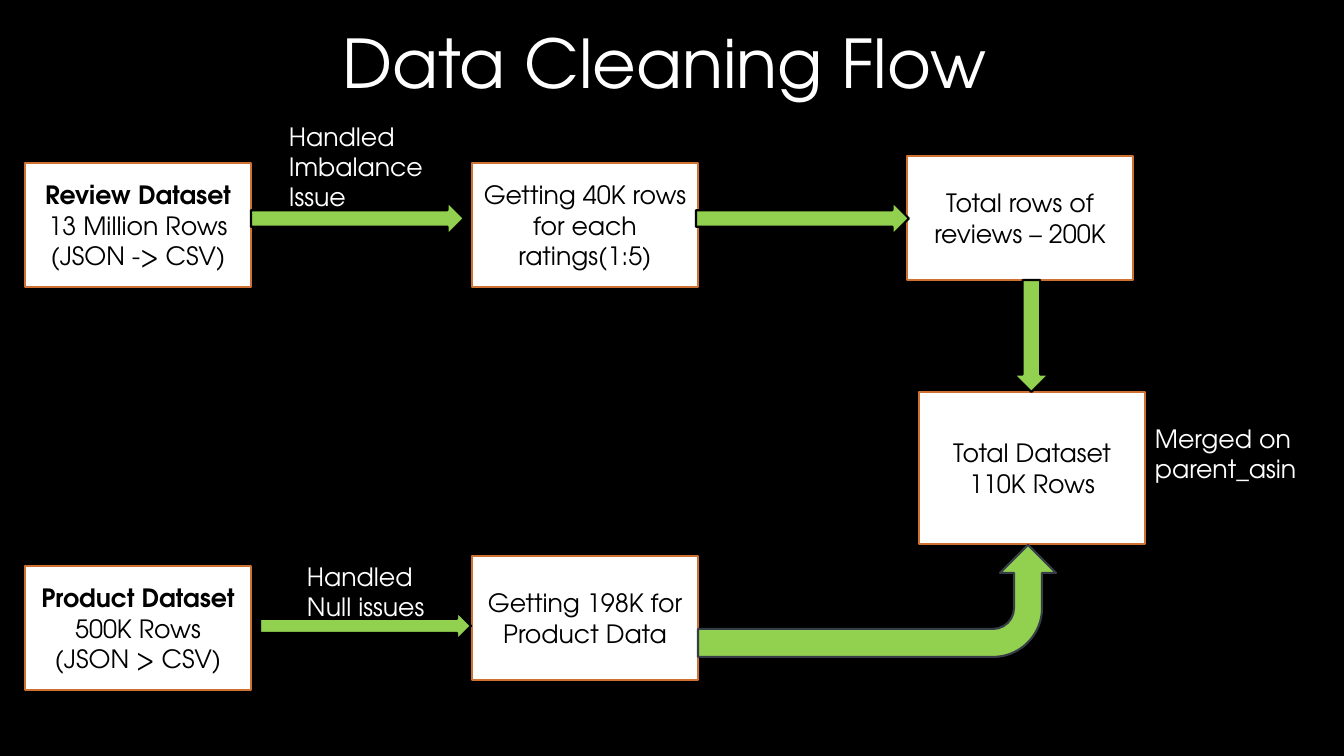
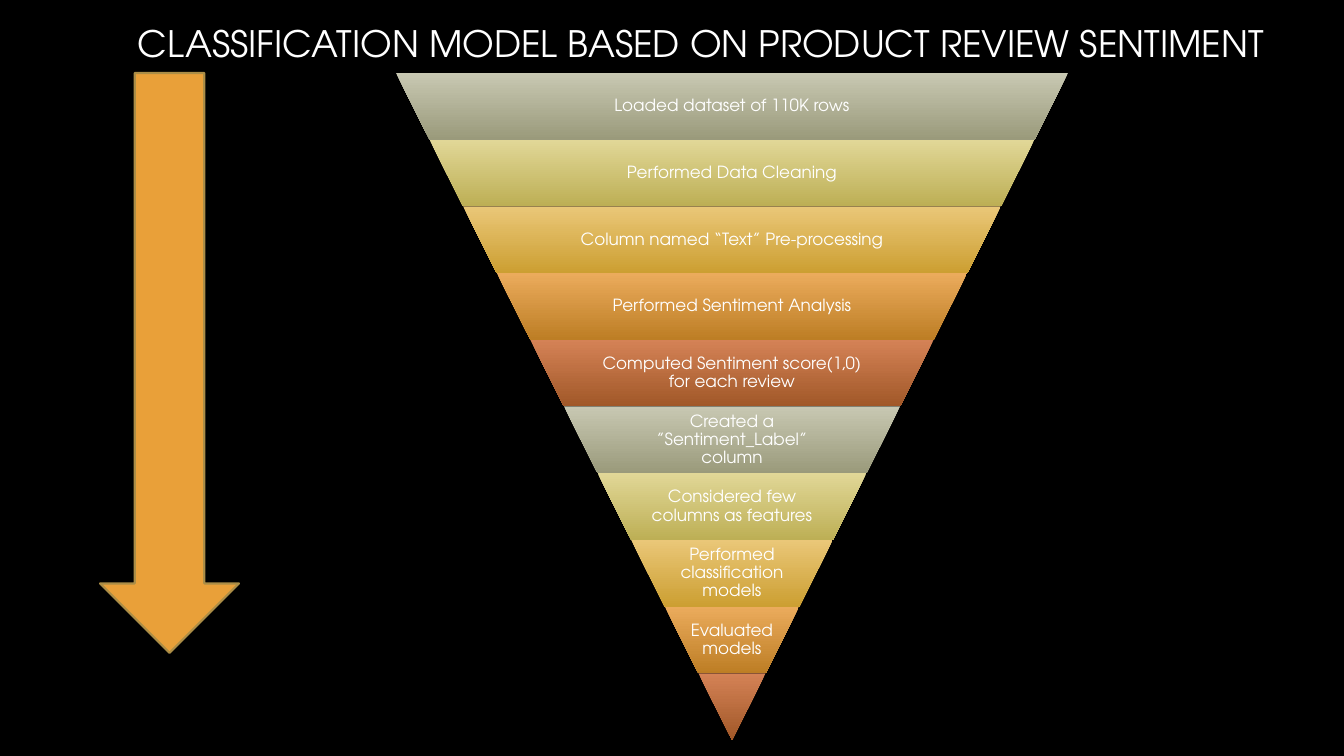
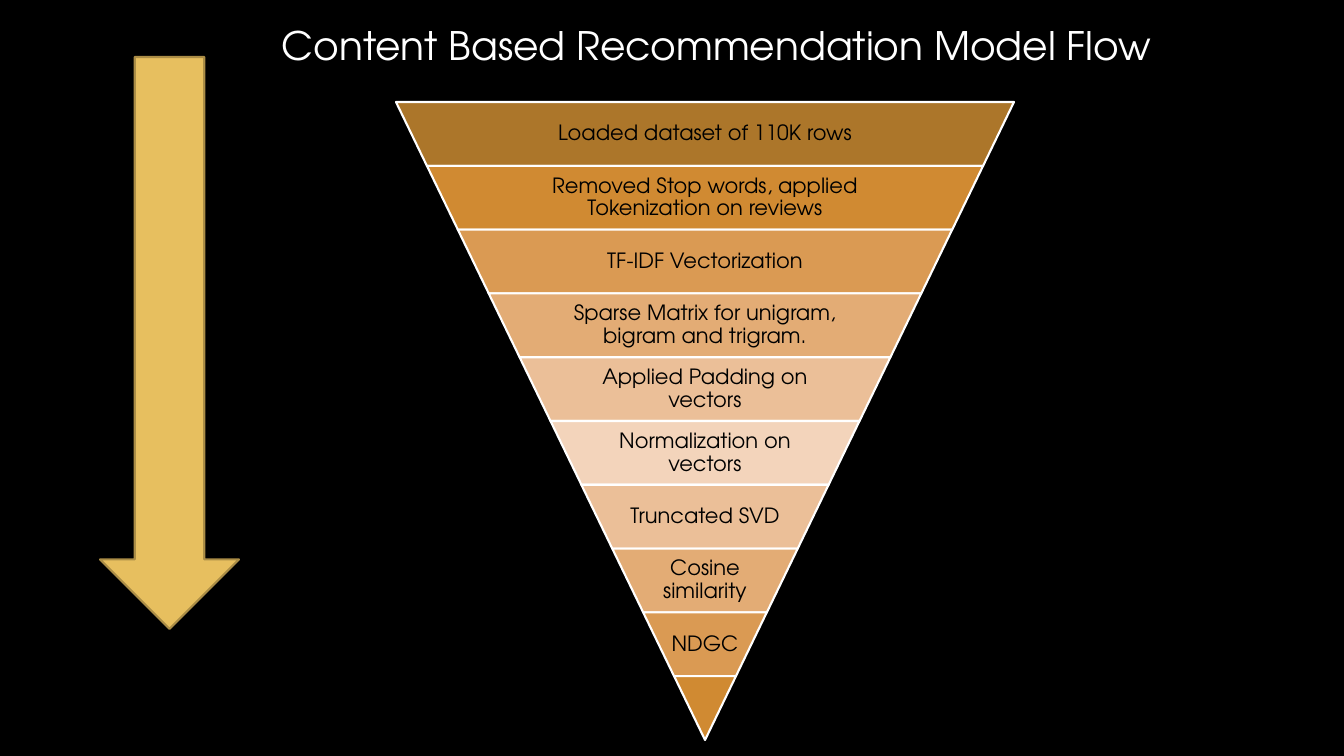
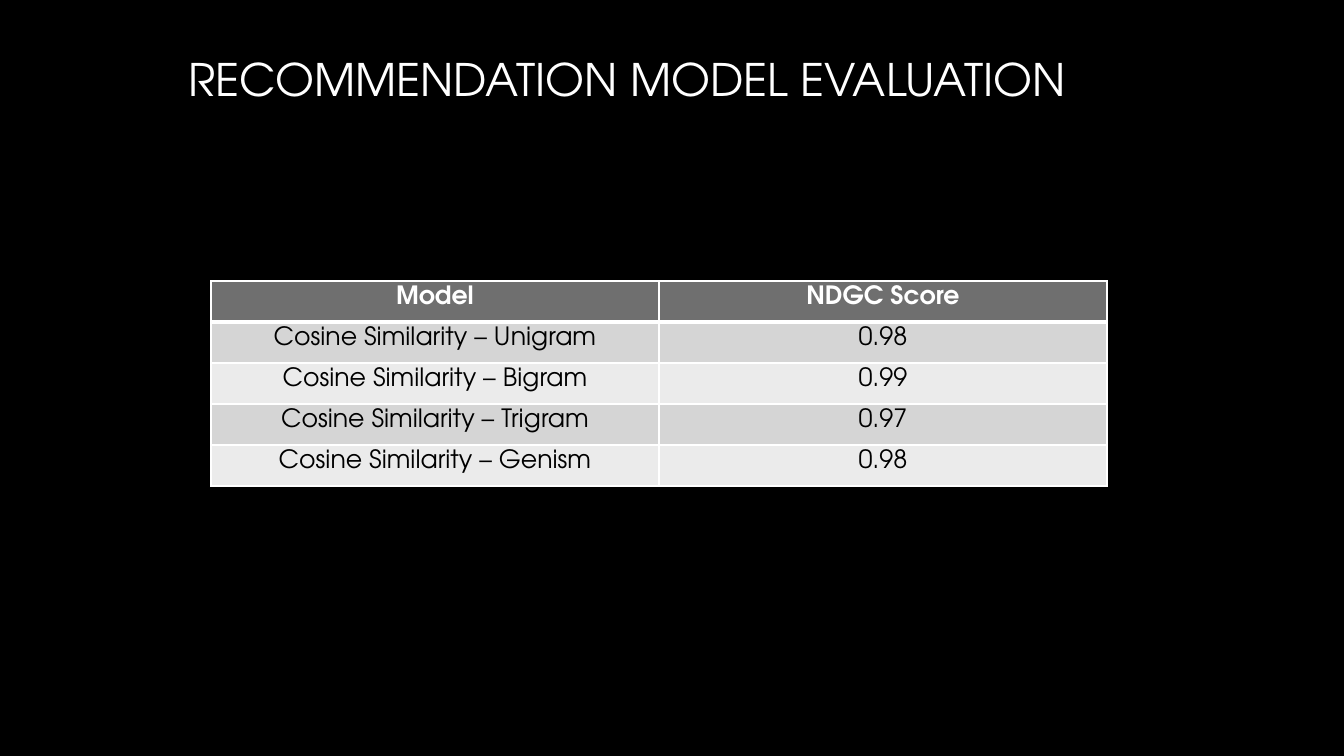
import pptx
import pptx.dml.color
import pptx.enum.shapes
import pptx.enum.text
import pptx.oxml
import pptx.oxml.ns
import pptx.util

SHAPE = pptx.enum.shapes.MSO_SHAPE
ALIGN = pptx.enum.text.PP_ALIGN
ANCHOR = pptx.enum.text.MSO_ANCHOR

# Shared look
PX = 914400 / 100.8
FONT = "TeX Gyre Adventor"
BLACK, WHITE = "000000", "FFFFFF"
BOX_LINE, GREEN, BEND_LINE, ARROW_LINE = "CF7133", "92D050", "363D46", "AB8D46"
HEADER_FILL, BAND_FILLS = "6F6F6F", ("D5D5D5", "EBEBEB")

# Data cleaning flow: place, lines, first line bold
FLOW_TITLE = ("Data Cleaning Flow", (288, 16, 753, 92), 48)
FLOW_BOXES = [
    ((25, 163, 226, 124), ["Review Dataset", "13 Million Rows", "(JSON -> CSV)"], True),
    ((472, 163, 226, 124), ["Getting 40K rows for each ratings(1:5)"], False),
    ((907, 156, 226, 124), ["Total rows of reviews – 200K"], False),
    ((25, 566, 226, 124), ["Product Dataset", "500K Rows", "(JSON > CSV)"], True),
    ((472, 556, 226, 124), ["Getting 198K for Product Data"], False),
    ((919, 392, 226, 152), ["Total Dataset", "110K Rows"], False),
]
FLOW_ARROWS = [
    (SHAPE.RIGHT_ARROW, (251, 202, 213, 33)),
    (SHAPE.RIGHT_ARROW, (696, 202, 213, 33)),
    (SHAPE.DOWN_ARROW, (1014, 280, 35, 112)),
    (SHAPE.RIGHT_ARROW, (260, 612, 211, 28)),
]
MERGE_ARROW = (821, 422, 112, 358)
FLOW_NOTES = [
    ((279, 116, 161, 102), "Handled Imbalance Issue"),
    ((297, 556, 166, 74), "Handled Null issues"),
    ((1145, 418, 169, 72), "Merged on parent_asin"),
]

# Funnels: the last band is the empty tip
GRADIENTS = [("C8C8B2", "9A9A7B"), ("E1D797", "BDAF55"), ("EAC778", "CC9F32"),
             ("EBAB5C", "BD7E25"), ("D48256", "A15828")]
SHADES = ["AC762A", "D08A32", "DA9A53", "E3AC75", "EBBF98", "F3D4BB",
          "EBBF98", "E3AC75", "DA9A53", "D08A32"]
FUNNELS = [
    {
        "title": ("CLASSIFICATION MODEL BASED ON PRODUCT REVIEW SENTIMENT",
                  (115, 16, 1173, 54), 26),
        "arrow": ((100, 73, 139, 580), "E9A039"),
        "place": (396, 73, 672, 667),
        "fills": GRADIENTS * 2,
        "line": None,
        "text": (12, WHITE),
        "steps": ["Loaded dataset of 110K rows", "Performed Data Cleaning",
                  "Column named “Text” Pre-processing", "Performed Sentiment Analysis",
                  "Computed Sentiment score(1,0) for each review",
                  "Created a ”Sentiment_Label” column",
                  "Considered few columns as features",
                  "Performed classification models", "Evaluated models", ""],
    },
    {
        "title": ("Content Based Recommendation Model Flow", (239, 16, 955, 58), 28),
        "arrow": ((100, 57, 139, 572), "E7BF5F"),
        "place": (396, 102, 618, 638),
        "fills": SHADES,
        "line": WHITE,
        "text": (15, BLACK),
        "steps": ["Loaded dataset of 110K rows",
                  "Removed Stop words, applied Tokenization on reviews",
                  "TF-IDF Vectorization", "Sparse Matrix for unigram, bigram and trigram.",
                  "Applied Padding on vectors", "Normalization on vectors",
                  "Truncated SVD", "Cosine similarity", "NDGC", ""],
    },
]

# Evaluation table
SCORES_TITLE = ("RECOMMENDATION MODEL EVALUATION", (50, 0, 1155, 158), 32)
SCORES_PLACE = (211, 281, 896, 205)
SCORES = [
    ("Model", "NDGC Score"),
    ("Cosine Similarity – Unigram", "0.98"),
    ("Cosine Similarity – Bigram", "0.99"),
    ("Cosine Similarity – Trigram", "0.97"),
    ("Cosine Similarity – Genism", "0.98"),
]


def px(length):
    return pptx.util.Emu(round(length * PX))


def rgb(value):
    return pptx.dml.color.RGBColor.from_string(value)


def write(frame, lines, size, colour, align=ALIGN.CENTER, bold_first=False):
    frame.word_wrap = True
    frame.text = "\n".join(lines)
    for number, paragraph in enumerate(frame.paragraphs):
        paragraph.alignment = align
        for run in paragraph.runs:
            run.font.name = FONT
            run.font.size = pptx.util.Pt(size)
            run.font.color.rgb = rgb(colour)
            run.font.bold = bold_first and number == 0


def add_slide(prs, title, place, size):
    slide = prs.slides.add_slide(prs.slide_layouts[5])
    heading = slide.shapes.title
    heading.left, heading.top, heading.width, heading.height = map(px, place)
    write(heading.text_frame, [title], size, WHITE)
    heading.text_frame.vertical_anchor = ANCHOR.MIDDLE
    return slide


def add_figure(slide, kind, place, fill, line):
    """Add a preset shape; a pair of colours gives a gradient from top to bottom."""
    figure = slide.shapes.add_shape(kind, *map(px, place))
    figure.shadow.inherit = False
    if isinstance(fill, tuple):
        figure.fill.gradient()
        figure.fill.gradient_angle = 270
        for stop, colour in zip(figure.fill.gradient_stops, fill):
            stop.color.rgb = rgb(colour)
        gradient = figure.fill._xPr.find(pptx.oxml.ns.qn("a:gradFill"))
        gradient.set("rotWithShape", "0")
    else:
        figure.fill.solid()
        figure.fill.fore_color.rgb = rgb(fill)
    if line:
        figure.line.color.rgb = rgb(line)
        figure.line.width = pptx.util.Pt(1.5)
    else:
        figure.line.fill.background()
    return figure


def add_label(slide, place, text, size, colour, align):
    label = slide.shapes.add_textbox(*map(px, place))
    write(label.text_frame, [text], size, colour, align)
    return label.text_frame


def build_flow(prs):
    slide = add_slide(prs, *FLOW_TITLE)
    for place, lines, bold_first in FLOW_BOXES:
        box = add_figure(slide, SHAPE.RECTANGLE, place, WHITE, BOX_LINE)
        write(box.text_frame, lines, 18, BLACK, bold_first=bold_first)
    for kind, place in FLOW_ARROWS:
        add_figure(slide, kind, place, GREEN, BLACK)
    merge = add_figure(slide, SHAPE.BENT_ARROW, MERGE_ARROW, GREEN, BEND_LINE)
    merge.rotation = 270
    merge._element.spPr.find(pptx.oxml.ns.qn("a:xfrm")).set("flipV", "1")
    for place, text in FLOW_NOTES:
        add_label(slide, place, text, 18, WHITE, ALIGN.LEFT)


def build_funnel(prs, funnel):
    slide = add_slide(prs, *funnel["title"])
    arrow_place, arrow_fill = funnel["arrow"]
    add_figure(slide, SHAPE.DOWN_ARROW, arrow_place, arrow_fill, ARROW_LINE)

    left, top, full_width, full_height = funnel["place"]
    count = len(funnel["steps"])
    height = full_height / count
    inset = full_width / count / 2
    for level, (step, fill) in enumerate(zip(funnel["steps"], funnel["fills"])):
        width = full_width - 2 * inset * level
        x, y = left + inset * level, top + height * level
        band = add_figure(slide, SHAPE.TRAPEZOID, (x, y, width, height), fill, funnel["line"])
        band.rotation = 180
        band.adjustments[0] = inset / min(width, height)
        if step:
            # The label covers the middle 65 % of its band
            place = (x + width * 0.175, y, width * 0.65, height)
            frame = add_label(slide, place, step, *funnel["text"], ALIGN.CENTER)
            frame.vertical_anchor = ANCHOR.MIDDLE
            frame.margin_left = frame.margin_right = px(1)
            frame.margin_top = frame.margin_bottom = px(2)
            frame.paragraphs[0].line_spacing = 0.9


def set_borders(cell, widths):
    """Draw white cell borders; widths maps a side to points."""
    properties = cell._tc.get_or_add_tcPr()
    for index, (side, points) in enumerate(widths.items()):
        border = pptx.oxml.parse_xml(
            f'<a:ln{side} {pptx.oxml.ns.nsdecls("a")} w="{points * 12700}">'
            f'<a:solidFill><a:srgbClr val="{WHITE}"/></a:solidFill></a:ln{side}>')
        properties.insert(index, border)


def build_scores(prs):
    slide = add_slide(prs, *SCORES_TITLE)
    table = slide.shapes.add_table(len(SCORES), len(SCORES[0]), *map(px, SCORES_PLACE)).table
    for r, row in enumerate(SCORES):
        header = r == 0
        for c, value in enumerate(row):
            cell = table.cell(r, c)
            cell.margin_top = cell.margin_bottom = px(5)
            cell.vertical_anchor = ANCHOR.TOP
            cell.fill.solid()
            cell.fill.fore_color.rgb = rgb(HEADER_FILL if header else BAND_FILLS[(r - 1) % 2])
            write(cell.text_frame, [value], 18, WHITE if header else BLACK, bold_first=header)
            set_borders(cell, {"L": 1, "R": 1, "T": 3 if r == 1 else 1, "B": 3 if header else 1})


def main():
    prs = pptx.Presentation()
    prs.slide_width, prs.slide_height = px(1344), px(756)
    backdrop = prs.slide_master.background.fill
    backdrop.solid()
    backdrop.fore_color.rgb = rgb(BLACK)
    build_flow(prs)
    for funnel in FUNNELS:
        build_funnel(prs, funnel)
    build_scores(prs)
    prs.save("out.pptx")


if __name__ == "__main__":
    main()
